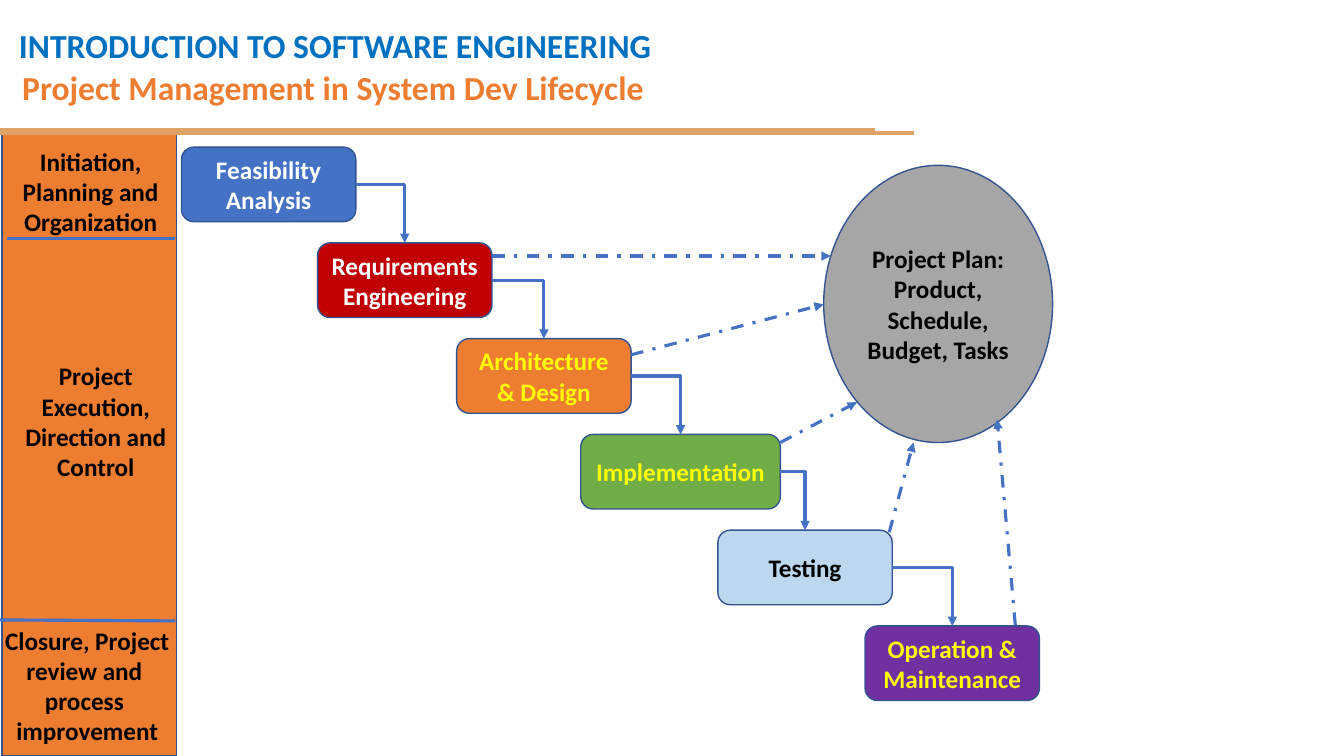
import pptx
import pptx.util
import pptx.dml.color
import pptx.enum.dml
import pptx.enum.shapes
import pptx.enum.text
import pptx.oxml.ns
import lxml.etree

Inches, Pt = pptx.util.Inches, pptx.util.Pt
RGBColor = pptx.dml.color.RGBColor
SHAPE = pptx.enum.shapes.MSO_SHAPE
CONNECTOR = pptx.enum.shapes.MSO_CONNECTOR
ALIGN = pptx.enum.text.PP_ALIGN
ANCHOR = pptx.enum.text.MSO_ANCHOR
DASH_DOT = pptx.enum.dml.MSO_LINE.DASH_DOT

WHITE = RGBColor(0xFF, 0xFF, 0xFF)
BLACK = RGBColor(0, 0, 0)
YELLOW = RGBColor(0xFF, 0xFF, 0)
BLUE = RGBColor(0x44, 0x72, 0xC4)
HEADING_BLUE = RGBColor(0, 0x70, 0xC0)
ORANGE = RGBColor(0xED, 0x7D, 0x31)
SAND = RGBColor(0xDF, 0xA2, 0x67)
OUTLINE = RGBColor(0x32, 0x54, 0x91)
RED = RGBColor(0xC0, 0, 0)
GREEN = RGBColor(0x70, 0xAD, 0x47)
PALE_BLUE = RGBColor(0xBD, 0xD7, 0xEE)
PURPLE = RGBColor(0x70, 0x30, 0xA0)
GRAY = RGBColor(0xA6, 0xA6, 0xA6)

# Content: lifecycle steps as text, left, width, fill, font colour
COURSE = "INTRODUCTION TO SOFTWARE ENGINEERING"
TITLE = "Project Management in System Dev Lifecycle"
STEPS = [
    ("Feasibility Analysis", 1.8, 1.73, BLUE, WHITE),
    ("Requirements Engineering", 3.15, 1.73, RED, WHITE),
    ("Architecture & Design", 4.53, 1.73, ORANGE, YELLOW),
    ("Implementation", 5.76, 1.98, GREEN, YELLOW),
    ("Testing", 7.12, 1.73, PALE_BLUE, BLACK),
    ("Operation & Maintenance", 8.58, 1.73, PURPLE, YELLOW),
]
STEP_TOP, STEP_PITCH, STEP_HEIGHT = 1.46, 0.95, 0.74
PLAN = "Project Plan: Product, Schedule, Budget, Tasks"
PHASES = [
    ("Closure, Project review and \vprocess \vimprovement", (-0.21, 6.15, 2.15, 1.31)),
    ("Initiation, Planning and Organization", (0.05, 1.4, 1.7, 1.01)),
    ("Project Execution, Direction and Control", (0.04, 3.53, 1.82, 1.31)),
]
# Lines as x1, y1, x2, y2
HEADER_RULES = [(0, 1.29, 8.68, 1.29), (-0.01, 1.32, 9.07, 1.32)]
PHASE_DIVIDERS = [(0.07, 2.37, 1.74, 2.37), (-0.01, 6.15, 1.74, 6.16)]
PLAN_ARROWS = [
    (4.88, 2.54, 8.24, 2.54),
    (6.26, 3.52, 8.17, 3.02),
    (7.74, 4.39, 8.5, 3.99),
    (8.82, 5.28, 9.06, 4.39),
    (10.07, 6.2, 9.89, 4.16),
]

presentation = pptx.Presentation()
presentation.slide_width, presentation.slide_height = Inches(13.33), Inches(7.5)
slide = presentation.slides.add_slide(presentation.slide_layouts[5])


def write(shape, text, color, size=18, align=ALIGN.CENTER, anchor=ANCHOR.TOP, spacing=1.0):
    frame = shape.text_frame
    frame.text = text
    paragraph = frame.paragraphs[0]
    formats = [
        (frame, {"word_wrap": True, "vertical_anchor": anchor,
                 "auto_size": pptx.enum.text.MSO_AUTO_SIZE.NONE}),
        (paragraph, {"alignment": align, "line_spacing": spacing}),
    ]
    for run in paragraph.runs:
        formats.append((run.font, {"name": "Calibri", "size": Pt(size), "bold": True}))
        run.font.color.rgb = color
    for target, values in formats:
        for name, value in values.items():
            setattr(target, name, value)


def add_text(text, box, color, **options):
    write(slide.shapes.add_textbox(*map(Inches, box)), text, color, **options)


def add_box(kind, box, fill):
    shape = slide.shapes.add_shape(kind, *map(Inches, box))
    shape.shadow.inherit = False
    shape.fill.solid()
    shape.fill.fore_color.rgb = fill
    shape.line.color.rgb = OUTLINE
    shape.line.width = Pt(1)
    return shape


def add_line(points, color=BLUE, width=2.25, kind=CONNECTOR.STRAIGHT, dash=None, arrow=False):
    connector = slide.shapes.add_connector(kind, *map(Inches, points))
    connector.line.color.rgb = color
    connector.line.width = Pt(width)
    if dash:
        connector.line.dash_style = dash
    properties = connector._element.spPr
    if arrow:
        outline = properties.find(pptx.oxml.ns.qn("a:ln"))
        lxml.etree.SubElement(outline, pptx.oxml.ns.qn("a:tailEnd"), type="triangle")
    lxml.etree.SubElement(properties, pptx.oxml.ns.qn("a:effectLst"))
    return connector


# Header
title = slide.shapes.title
title.left, title.top, title.width, title.height = map(Inches, (0.12, 0.61, 9.95, 0.5))
write(title, TITLE, ORANGE, size=24, align=ALIGN.LEFT)
add_text(COURSE, (0.09, 0, 9.87, 0.64), HEADING_BLUE, size=24, align=ALIGN.LEFT, spacing=1.5)

# Phase column, with the header rules over its top edge
add_box(SHAPE.RECTANGLE, (0.02, 1.32, 1.73, 6.18), ORANGE)
for rule in HEADER_RULES:
    add_line(rule, SAND, 3)
for divider in PHASE_DIVIDERS:
    add_line(divider)
for text, box in PHASES:
    add_text(text, box, BLACK)

# Staircase of lifecycle steps
step_boxes = []
for index, (text, left, width, fill, color) in enumerate(STEPS):
    top = STEP_TOP + index * STEP_PITCH
    step_box = add_box(SHAPE.ROUNDED_RECTANGLE, (left, top, width, STEP_HEIGHT), fill)
    write(step_box, text, color, anchor=ANCHOR.MIDDLE)
    step_boxes.append(step_box)

# Elbow arrows from the right side of a step to the top of the next
for current, following in zip(step_boxes, step_boxes[1:]):
    elbow = add_line((0, 0, 1, 1), kind=CONNECTOR.ELBOW, arrow=True)
    elbow.begin_connect(current, 3)
    elbow.end_connect(following, 0)
    geometry = elbow._element.spPr.find(pptx.oxml.ns.qn("a:prstGeom"))
    geometry.set("prst", "bentConnector2")

# Project plan and the arrows that feed it
plan = add_box(SHAPE.OVAL, (8.17, 1.64, 2.27, 2.75), GRAY)
write(plan, PLAN, BLACK, anchor=ANCHOR.MIDDLE)
for points in PLAN_ARROWS:
    add_line(points, dash=DASH_DOT, arrow=True)

presentation.save("out.pptx")
